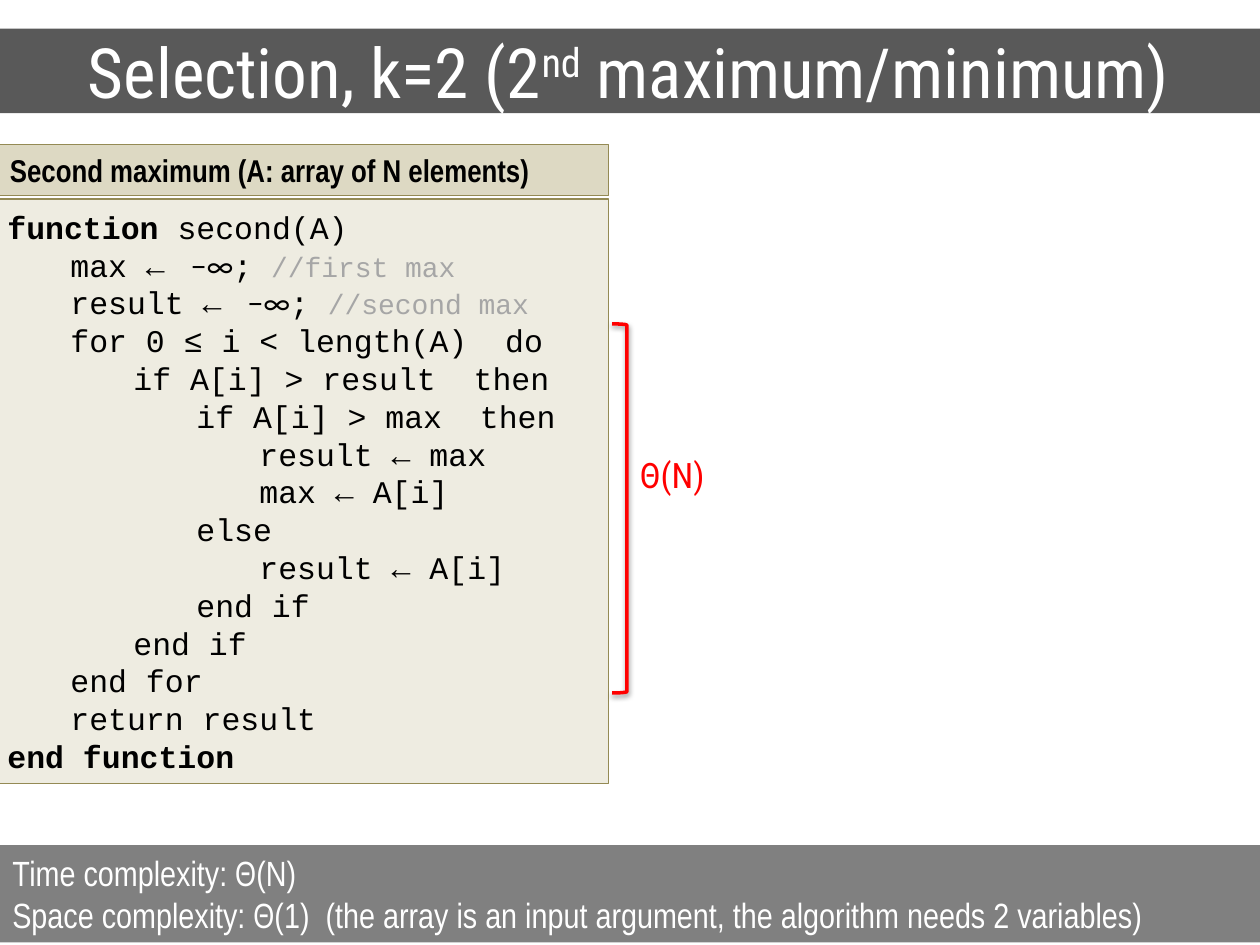
from dataclasses import dataclass

from lxml import etree
from pptx import Presentation
from pptx.dml.color import RGBColor
from pptx.enum.shapes import MSO_SHAPE
from pptx.enum.text import MSO_ANCHOR, PP_ALIGN
from pptx.oxml.ns import qn
from pptx.util import Cm, Pt

RECTANGLE = MSO_SHAPE.RECTANGLE
RIGHT_BRACKET = MSO_SHAPE.RIGHT_BRACKET
MIDDLE = MSO_ANCHOR.MIDDLE
LEFT, CENTER = PP_ALIGN.LEFT, PP_ALIGN.CENTER

WHITE = RGBColor(0xFF, 0xFF, 0xFF)
BLACK = RGBColor(0x00, 0x00, 0x00)
RED = RGBColor(0xFF, 0x00, 0x00)
COMMENT_GRAY = RGBColor(0xA6, 0xA6, 0xA6)
TITLE_GRAY = RGBColor(0x59, 0x59, 0x59)
FOOTER_GRAY = RGBColor(0x80, 0x80, 0x80)
CODE_FILL = RGBColor(0xEE, 0xEC, 0xE1)
HEADER_FILL = RGBColor(0xDD, 0xD9, 0xC3)
OLIVE = RGBColor(0x94, 0x8A, 0x54)

TAB_STEP = Cm(1.27)
TAB_COUNT = 4
CODE_SPACING = Pt(21.6)

TITLE = {"name": "Roboto Condensed", "size": Pt(39.6), "color": WHITE}
CODE = {"name": "Courier New", "size": Pt(18), "color": BLACK, "bold": False}
KEYWORD = CODE | {"bold": True}
SYMBOL = CODE | {"name": "Calibri"}
COMMENT = CODE | {"size": Pt(16), "color": COMMENT_GRAY}
HEADER = {"name": "Arial Narrow", "size": Pt(18), "color": BLACK, "bold": True}
FOOTER = {"name": "Arial Narrow", "size": Pt(20), "color": WHITE}
COST = {"name": "Roboto Condensed", "size": Pt(20), "color": RED}


@dataclass
class Run:
    """A stretch of text with one format."""
    text: str
    style: dict
    baseline: int = 0


@dataclass
class Panel:
    """A filled rectangle with its lines of text."""
    box: tuple
    fill: RGBColor
    lines: list
    border: RGBColor | None = None
    align: PP_ALIGN = LEFT
    is_code: bool = False


def initial_value(name: str, remark: str) -> list:
    """Return the code line that sets a variable to minus infinity."""
    return [Run(f"\t{name} ← ", CODE), Run(" −∞", SYMBOL),
            Run("; ", CODE), Run(remark, COMMENT)]


BODY = [
    (1, "for 0 ≤ i < length(A)  do"),
    (2, "if A[i] > result  then"),
    (3, "if A[i] > max  then"),
    (4, "result ← max"),
    (4, "max ← A[i]"),
    (3, "else"),
    (4, "result ← A[i]"),
    (3, "end if"),
    (2, "end if"),
    (1, "end for"),
    (1, "return result"),
]
CODE_LINES = [
    [Run("function ", KEYWORD), Run("second(A)", CODE)],
    initial_value("max", "//first max"),
    initial_value("result", "//second max"),
    *[[Run("\t" * depth + text, CODE)] for depth, text in BODY],
    [Run("end function", KEYWORD)],
]
PANELS = [
    Panel((-0.05, 0.58, 25.45, 1.7), TITLE_GRAY,
          [[Run("Selection, k=2 (2", TITLE), Run("nd", TITLE, 30000),
            Run(" maximum/minimum)", TITLE)]], align=CENTER),
    Panel((-0.1, 4.01, 12.37, 11.79), CODE_FILL, CODE_LINES, OLIVE, is_code=True),
    Panel((-0.05, 2.92, 12.32, 1.03), HEADER_FILL,
          [[Run("Second maximum (A: array of N elements)", HEADER)]], OLIVE),
    Panel((0, 17.04, 25.45, 1.96), FOOTER_GRAY,
          [[Run("Time complexity: Θ(N)", FOOTER)],
           [Run("Space complexity: Θ(1)  (the array is an input argument, "
                "the algorithm needs 2 variables)", FOOTER)]]),
]


def add_tab_stops(paragraph) -> None:
    """Give a paragraph evenly spaced tab stops."""
    tab_list = etree.SubElement(paragraph._p.get_or_add_pPr(), qn("a:tabLst"))
    for number in range(1, TAB_COUNT + 1):
        etree.SubElement(tab_list, qn("a:tab"), pos=str(TAB_STEP * number), algn="l")


def write_run(paragraph, item: Run) -> None:
    """Add a formatted run to a paragraph."""
    run = paragraph.add_run()
    run.text = item.text
    for name, value in item.style.items():
        if name == "color":
            run.font.color.rgb = value
        else:
            setattr(run.font, name, value)
    if item.baseline:
        run._r.get_or_add_rPr().set("baseline", str(item.baseline))


def write_lines(text_frame, lines: list, align: PP_ALIGN, is_code: bool) -> None:
    """Fill a text frame with one paragraph per line."""
    for index, line in enumerate(lines):
        paragraph = text_frame.add_paragraph() if index else text_frame.paragraphs[0]
        if is_code:
            add_tab_stops(paragraph)
            paragraph.line_spacing = CODE_SPACING
        paragraph.alignment = align
        for item in line:
            write_run(paragraph, item)


def draw_panel(slide, panel: Panel) -> None:
    """Draw a panel with its text."""
    shape = slide.shapes.add_shape(RECTANGLE, *map(Cm, panel.box))
    shape.shadow.inherit = False
    shape.fill.solid()
    shape.fill.fore_color.rgb = panel.fill
    if panel.border is None:
        shape.line.fill.background()
    else:
        shape.line.color.rgb = panel.border
        shape.line.width = Pt(0.75)
    shape.text_frame.word_wrap = True
    shape.text_frame.vertical_anchor = MIDDLE
    write_lines(shape.text_frame, panel.lines, panel.align, panel.is_code)


def draw_loop_cost(slide) -> None:
    """Draw the bracket beside the loop and its cost."""
    bracket = slide.shapes.add_shape(RIGHT_BRACKET, Cm(12.34), Cm(6.53), Cm(0.3), Cm(7.44))
    bracket.fill.background()
    bracket.line.color.rgb = RED
    bracket.line.width = Pt(2)
    bracket.shadow.inherit = False
    effects = bracket._element.spPr.find(qn("a:effectLst"))
    shadow = etree.SubElement(effects, qn("a:outerShdw"), blurRad=str(Pt(3.1)),
                              dist=str(Pt(1.6)), dir="5400000", rotWithShape="0")
    color = etree.SubElement(shadow, qn("a:srgbClr"), val=str(BLACK))
    etree.SubElement(color, qn("a:alpha"), val="38000")
    label = slide.shapes.add_textbox(Cm(12.65), Cm(9.02), Cm(1.85), Cm(1.12))
    label.text_frame.word_wrap = False
    write_lines(label.text_frame, [[Run("Θ(N)", COST)]], LEFT, False)


def main() -> None:
    """Build and save the slide."""
    presentation = Presentation()
    presentation.slide_width = Cm(25.4)
    presentation.slide_height = Cm(19.05)
    slide = presentation.slides.add_slide(presentation.slide_layouts[6])
    for panel in PANELS:
        draw_panel(slide, panel)
    draw_loop_cost(slide)
    presentation.save("out.pptx")


if __name__ == "__main__":
    main()
